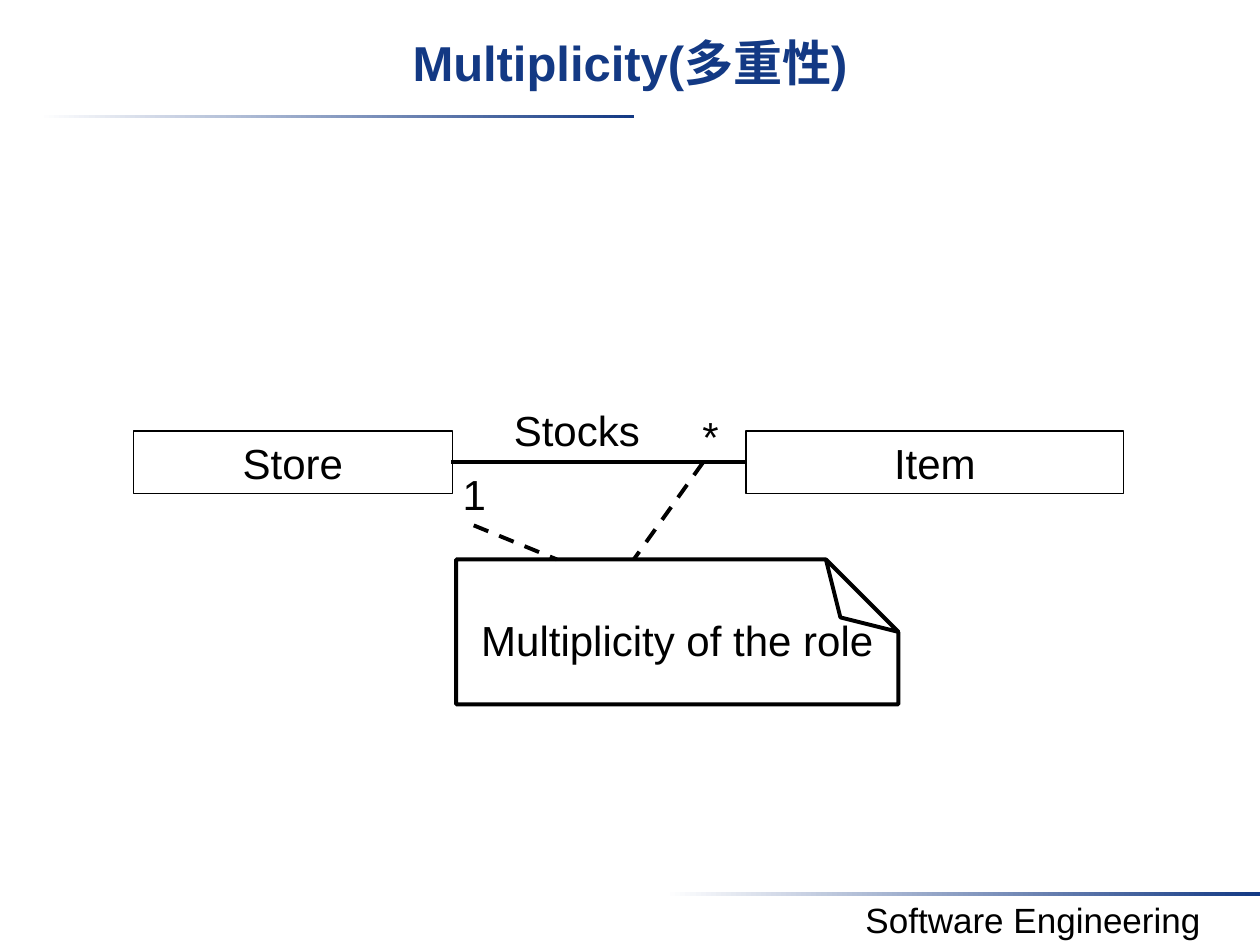
from lxml.etree import SubElement
from pptx import Presentation
from pptx.dml.color import RGBColor
from pptx.enum.dml import MSO_LINE
from pptx.enum.shapes import MSO_CONNECTOR, MSO_SHAPE
from pptx.enum.text import MSO_ANCHOR, PP_ALIGN
from pptx.oxml.ns import qn
from pptx.util import Inches, Pt

COLORS = {"black": "000000", "white": "FFFFFF", "navy": "133984"}
FONT = "Arial"


def rgb(name):
    return RGBColor.from_string(COLORS[name])


def write(shape, text, size=24, color="black", bold=False,
          anchor=MSO_ANCHOR.TOP, top_inset=0.05):
    frame = shape.text_frame
    frame.word_wrap = True
    frame.vertical_anchor = anchor
    frame.margin_top = Inches(top_inset)
    paragraph = frame.paragraphs[0]
    paragraph.alignment = PP_ALIGN.CENTER
    run = paragraph.add_run()
    run.text = text
    run.font.name = FONT
    run.font.size = Pt(size)
    run.font.bold = bold
    run.font.color.rgb = rgb(color)


class Diagram:
    """Adds elements in one style to the current slide; lengths are in inches."""

    def __init__(self, slide):
        self.shapes = slide.shapes

    def outline(self, kind, box, width):
        shape = self.shapes.add_shape(kind, *map(Inches, box))
        shape.shadow.inherit = False
        shape.fill.background()
        shape.line.color.rgb = rgb("black")
        shape.line.width = Pt(width)
        return shape

    def rule(self, left, top):
        """Thin bar fading from white to navy."""
        bar = self.outline(MSO_SHAPE.RECTANGLE, (left, top, 4.72, 0.03), 0.75)
        bar.line.fill.background()
        bar.fill.gradient()
        bar.fill.gradient_angle = 0
        for stop, color, position in zip(bar.fill.gradient_stops, ("white", "navy"), (0, 1)):
            stop.color.rgb = rgb(color)
            stop.position = position

    def label(self, box, text, **style):
        write(self.shapes.add_textbox(*map(Inches, box)), text, **style)

    def class_box(self, box, name):
        write(self.outline(MSO_SHAPE.RECTANGLE, box, 0.75), name)

    def note(self, box):
        """Sheet with its top right corner folded."""
        properties = self.outline(MSO_SHAPE.FOLDED_CORNER, box, 2.25).element.spPr
        properties.find(qn("a:xfrm")).set("flipV", "1")
        geometry = properties.find(qn("a:prstGeom"))
        fold_sizes = geometry.find(qn("a:avLst"))
        if fold_sizes is None:
            fold_sizes = SubElement(geometry, qn("a:avLst"))
        SubElement(fold_sizes, qn("a:gd"), name="adj", fmla="val 50000")

    def line(self, start, end, dashed=False):
        connector = self.shapes.add_connector(
            MSO_CONNECTOR.STRAIGHT, *map(Inches, start + end))
        connector.line.color.rgb = rgb("black")
        connector.line.width = Pt(2.25)
        if dashed:
            connector.line.dash_style = MSO_LINE.DASH
        SubElement(connector.element.spPr, qn("a:effectLst"))


def main():
    presentation = Presentation()
    presentation.slide_width, presentation.slide_height = Inches(10), Inches(7.5)
    slide = presentation.slides.add_slide(presentation.slide_layouts[6])
    diagram = Diagram(slide)

    diagram.rule(0.31, 0.91)
    diagram.rule(5.28, 7.08)
    diagram.label((6.4, 7.08, 3.6, 0.44), "Software Engineering", size=20)
    diagram.label((0, 0.2, 10, 0.75), "Multiplicity(多重性)", size=28,
                  color="navy", bold=True, top_inset=0.06)

    diagram.class_box((1.06, 3.42, 2.53, 0.5), "Store")
    diagram.class_box((5.92, 3.42, 3, 0.5), "Item")
    diagram.line((3.58, 3.67), (5.92, 3.67))

    for left, top, text in ((2.5, 3.67, "1"), (4.42, 3.21, "* "), (3.36, 3.16, "Stocks ")):
        diagram.label((left, top, 2.53, 0.5), text)

    diagram.note((3.62, 4.44, 3.51, 1.15))
    diagram.label((3.62, 4.83, 3.51, 0.5), "Multiplicity of the role")
    diagram.line((3.76, 4.17), (4.42, 4.44), dashed=True)
    diagram.line((5.58, 3.67), (5.03, 4.44), dashed=True)

    presentation.save("out.pptx")


if __name__ == "__main__":
    main()
